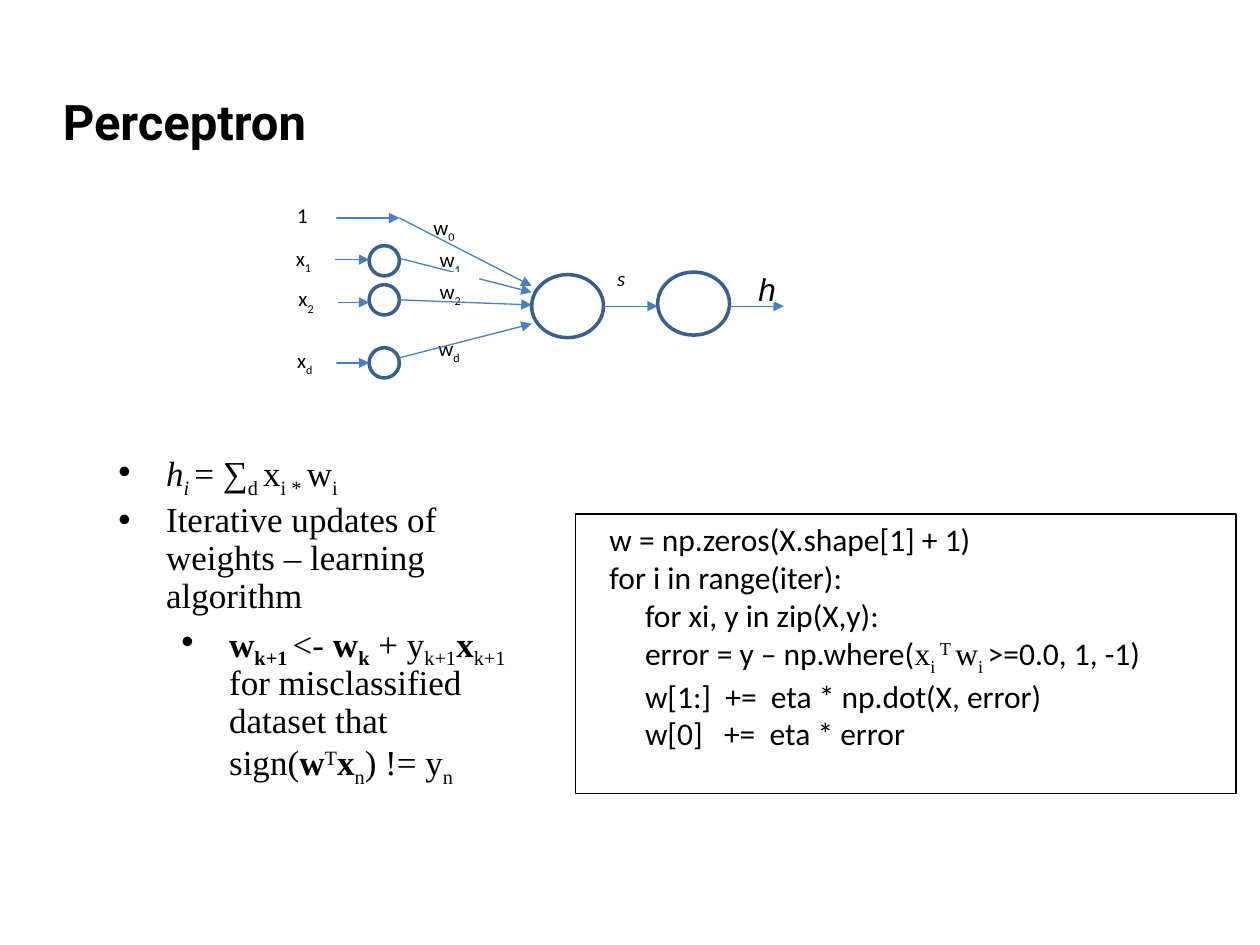
"""Build the perceptron slide with its network diagram, update rule and code."""
import pptx
import pptx.dml.color
import pptx.enum.shapes
import pptx.enum.text
import pptx.oxml
import pptx.oxml.ns
import pptx.util
from pptx.util import Inches


def colour(code):
    return pptx.dml.color.RGBColor.from_string(code)


def write(para, text, size=20, font="Times New Roman", bold=False, italic=False, base=0):
    span = para.add_run()
    span.text = text
    span.font.size = pptx.util.Pt(size)
    span.font.name = font
    span.font.bold = bold
    span.font.italic = italic
    span.font.color.rgb = colour("000000")
    if base:
        span.font._element.set("baseline", str(base * 1000))


deck = pptx.Presentation()
deck.slide_width, deck.slide_height = Inches(10), Inches(7.5)
page = deck.slides.add_slide(deck.slide_layouts[6])
shapes = pptx.enum.shapes.MSO_SHAPE
namespace = pptx.oxml.ns.nsdecls("a")

sub = {"base": -25}
bold = {"bold": True}
bold_sub = {"bold": True, "base": -25}
rules = [
    (0, [("h", {"italic": True}), ("i ", {"italic": True, "base": -25}), ("= ∑", {}), ("d ", sub),
         ("x", {}), ("i * ", sub), ("w", {}), ("i", sub)]),
    (0, [("Iterative updates of weights – learning algorithm", {})]),
    (1, [("w", bold), ("k+1 ", bold_sub), ("<- ", {}), ("w", bold), ("k", bold_sub),
         (" + y", {}), ("k+1", sub), ("x", bold), ("k+1 ", sub),
         ("for misclassified dataset that sign(", {}), ("w", bold), ("T", {"base": 30}),
         ("x", bold), ("n", sub), (") != y", {}), ("n", sub)]),
]
box = page.shapes.add_textbox(Inches(0.84), Inches(3.54), Inches(3.45), Inches(3.55))
box.text_frame.word_wrap = True
for index, (level, spans) in enumerate(rules):
    para = box.text_frame.paragraphs[0] if index == 0 else box.text_frame.add_paragraph()
    para.level = level
    para.line_spacing = 0.9
    para.space_before = pptx.util.Pt(4 if index else 0)
    props = para._p.get_or_add_pPr()
    props.set("marL", str(Inches(0.38 + 0.5 * level)))
    props.set("indent", str(Inches(-0.38)))
    props.append(pptx.oxml.parse_xml(f'<a:buFont {namespace} typeface="Arial"/>'))
    props.append(pptx.oxml.parse_xml(f'<a:buChar {namespace} char="•"/>'))
    for text, style in spans:
        write(para, text, **style)

title = page.shapes.add_textbox(Inches(0.4), Inches(0.68), Inches(8.33), Inches(0.71))
title.text_frame.word_wrap = True
write(title.text_frame.paragraphs[0], "Perceptron", size=28, font="Roboto", bold=True)

small, large, plain = (0.24, 0.24), (0.57, 0.5), (0.41, 0.31)
script = {"italic": True}
diagram = [
    ("node", 2.93, 1.95, small),
    ("arrow", 2.6, 2.06, (2.93, 2.06)),
    ("node", 2.93, 2.26, small),
    ("arrow", 2.6, 2.4, (2.93, 2.4)),
    ("node", 2.93, 2.76, small),
    ("arrow", 2.6, 2.88, (2.93, 2.88)),
    ("arrow", 2.6, 1.73, (3.17, 1.73)),
    ("node", 4.22, 2.18, large),
    ("label", 3.34, 1.65, ("w", "0", {})),
    ("label", 3.39, 1.91, ("w", "1", {})),
    ("arrow", 3.17, 2.05, (4.22, 2.32)),
    ("arrow", 3.17, 1.73, (4.22, 2.27)),
    ("label", 3.39, 2.16, ("w", "2", {})),
    ("label", 3.38, 2.61, ("w", "d", {})),
    ("arrow", 3.17, 2.84, (4.22, 2.57)),
    ("arrow", 3.17, 2.38, (4.22, 2.42)),
    ("label", 2.26, 1.56, ("1", "", {})),
    ("label", 2.25, 1.9, ("x", "1", {})),
    ("label", 2.27, 2.22, ("x", "2", {})),
    ("label", 2.26, 2.71, ("x", "d", {})),
    ("node", 5.22, 2.16, large),
    ("label", 4.8, 2.06, ("s", "", script)),
    ("arrow", 4.79, 2.43, (5.22, 2.43)),
    ("arrow", 5.79, 2.43, (6.22, 2.43)),
    ("label", 5.92, 2.09, ("h", "", {"italic": True, "size": 18, "font": "Arial"})),
]
for kind, left, top, detail in diagram:
    if kind == "arrow":
        arrow = page.shapes.add_connector(
            pptx.enum.shapes.MSO_CONNECTOR.STRAIGHT,
            Inches(left), Inches(top), Inches(detail[0]), Inches(detail[1]))
        arrow.line.color.rgb = colour("4B7EBC")
        arrow.line.width = pptx.util.Pt(0.75)
        arrow.line._get_or_add_ln().append(
            pptx.oxml.parse_xml(f'<a:tailEnd {namespace} type="triangle"/>'))
        arrow._element.spPr.append(pptx.oxml.parse_xml(f"<a:effectLst {namespace}/>"))
        continue
    width, height = detail if kind == "node" else plain
    outline = shapes.OVAL if kind == "node" else shapes.RECTANGLE
    shape = page.shapes.add_shape(outline, Inches(left), Inches(top), Inches(width), Inches(height))
    shape.shadow.inherit = False
    if kind == "node":
        shape.fill.background()
        shape.line.color.rgb = colour("3A5F8C")
        shape.line.width = pptx.util.Pt(2)
    else:
        letter, index, style = detail
        shape.fill.solid()
        shape.fill.fore_color.rgb = colour("FFFFFF")
        shape.line.fill.background()
        shape.text_frame.vertical_anchor = pptx.enum.text.MSO_ANCHOR.TOP
        para = shape.text_frame.paragraphs[0]
        para.alignment = pptx.enum.text.PP_ALIGN.LEFT
        write(para, letter, **{"size": 12, "font": "Calibri", **style})
        if index:
            write(para, index, size=12, font="Calibri", base=-30)

code_font = {"font": "Calibri"}
code = [
    [("   w = np.zeros(X.shape[1] + 1)", code_font)],
    [("   for i in range(iter):", code_font)],
    [("        for xi, y in zip(X,y):", code_font)],
    [("        error = y – np.where(", code_font), ("x", {}), ("i ", sub), ("T ", {"base": 30}),
     ("w", {}), ("i ", sub), (">=0.0, 1, -1)", code_font)],
    [("        w[1:]  +=  eta * np.dot(X, error)", code_font)],
    [("        w[0]   +=  eta * error", code_font)],
]
panel = page.shapes.add_shape(shapes.RECTANGLE, Inches(4.57), Inches(4.08), Inches(5.24), Inches(2.22))
panel.shadow.inherit = False
panel.fill.background()
panel.line.color.rgb = colour("000000")
panel.line.width = pptx.util.Pt(0.75)
panel.text_frame.word_wrap = True
panel.text_frame.vertical_anchor = pptx.enum.text.MSO_ANCHOR.TOP
for index, spans in enumerate(code):
    para = panel.text_frame.paragraphs[0] if index == 0 else panel.text_frame.add_paragraph()
    para.alignment = pptx.enum.text.PP_ALIGN.LEFT
    for text, style in spans:
        write(para, text, size=18, **style)

deck.save("out.pptx")
